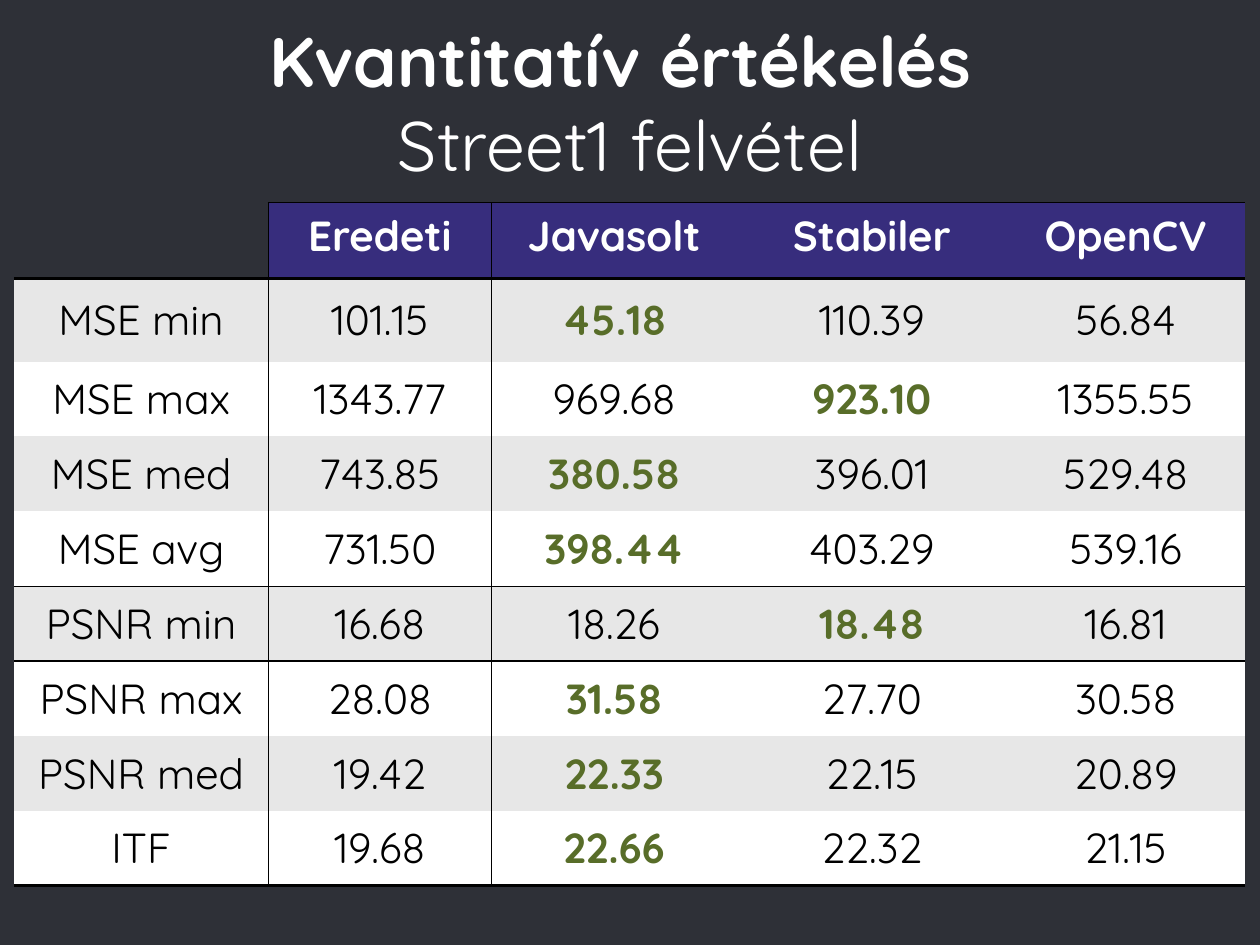
from lxml import etree
from pptx import Presentation
from pptx.dml.color import RGBColor
from pptx.enum.text import MSO_ANCHOR, MSO_AUTO_SIZE, PP_ALIGN
from pptx.oxml.ns import qn
from pptx.util import Inches, Pt

CENTER = PP_ALIGN.CENTER
TOP, MIDDLE, BOTTOM = MSO_ANCHOR.TOP, MSO_ANCHOR.MIDDLE, MSO_ANCHOR.BOTTOM
NO_AUTOFIT = MSO_AUTO_SIZE.NONE

BACKGROUND = RGBColor(0x2E, 0x30, 0x37)
HEADER_FILL = RGBColor(0x37, 0x2D, 0x7D)
BAND_FILL = RGBColor(0xE7, 0xE7, 0xE7)
WHITE = RGBColor(0xFF, 0xFF, 0xFF)
BLACK = RGBColor(0, 0, 0)
BEST = RGBColor(0x58, 0x6D, 0x29)

FONT = "Quicksand"
NO_GRID_STYLE = "{2D5ABB26-0587-4C30-8999-92F81FD0307C}"

METHODS = ["", "Eredeti", "Javasolt", "Stabiler", "OpenCV"]
SCORES = [
    ["MSE min", "101.15", "45.18", "110.39", "56.84"],
    ["MSE max", "1343.77", "969.68", "923.10", "1355.55"],
    ["MSE med", "743.85", "380.58", "396.01", "529.48"],
    ["MSE avg", "731.50", "398.44", "403.29", "539.16"],
    ["PSNR min", "16.68", "18.26", "18.48", "16.81"],
    ["PSNR max", "28.08", "31.58", "27.70", "30.58"],
    ["PSNR med", "19.42", "22.33", "22.15", "20.89"],
    ["ITF", "19.68", "22.66", "22.32", "21.15"],
]
COLUMN_WIDTHS = [2.02, 1.77, 1.95, 2.14, 1.89]
TABLE_HEIGHT, HEADER_HEIGHT, FIRST_ROW_HEIGHT = 5.42, 0.6, 0.66

# Line widths in points, keyed by the row or column that the line follows
THIN = 0.75
ROW_LINES = {0: 2, 4: THIN, 5: THIN, 8: 2}
COLUMN_LINES = {0: 1, 1: THIN}


def format_font(font, **values):
    """Apply the shared typeface and the given format values."""
    font.name = FONT
    font.color.rgb = values.pop("color")
    for attribute, value in values.items():
        setattr(font, attribute, value)


def add_title(slide):
    title = slide.shapes.title
    place = {"left": 0, "top": Inches(0.49),
             "width": Inches(10), "height": Inches(1.08)}
    for attribute, value in place.items():
        setattr(title, attribute, value)

    frame = title.text_frame
    margins = {f"margin_{side}": Inches(0.1)
               for side in ("left", "top", "right", "bottom")}
    settings = {"word_wrap": True, "auto_size": NO_AUTOFIT,
                "vertical_anchor": BOTTOM, **margins}
    for attribute, value in settings.items():
        setattr(frame, attribute, value)

    paragraph = frame.paragraphs[0]
    paragraph.alignment = CENTER
    heading = paragraph.add_run()
    heading.text = "Kvantitatív értékelés "
    paragraph.add_line_break()
    recording = paragraph.add_run()
    recording.text = "Street1 felvétel"
    for run, bold in ((heading, True), (recording, False)):
        format_font(run.font, size=Pt(40), bold=bold, color=WHITE)


def best_score(scores):
    """Errors (MSE) are best when low, the other measures when high."""
    choose = min if scores[0].startswith("MSE") else max
    return choose(scores[1:], key=float)


def add_borders(cell, row, column):
    """Draw each ruled line once, on the cell before it."""
    widths = {"R": COLUMN_LINES.get(column),
              "T": THIN if row == 0 and column > 0 else None,
              "B": ROW_LINES.get(row)}
    properties = cell._tc.get_or_add_tcPr()
    for side, width in widths.items():
        if width:
            line = etree.SubElement(properties, qn(f"a:ln{side}"), w=str(Pt(width)))
            fill = etree.SubElement(line, qn("a:solidFill"))
            etree.SubElement(fill, qn("a:srgbClr"), val=str(BLACK))


def fill_cell(cell, text, fill, color, bold, anchor):
    cell.fill.solid()
    cell.fill.fore_color.rgb = fill
    cell.vertical_anchor = anchor
    paragraph = cell.text_frame.paragraphs[0]
    paragraph.alignment = CENTER
    if text:
        run = paragraph.add_run()
        run.text = text
        format_font(run.font, size=Pt(24), bold=bold, color=color)


def add_score_table(slide):
    frame = slide.shapes.add_table(
        len(SCORES) + 1, len(METHODS), Inches(0.11), Inches(1.61),
        Inches(sum(COLUMN_WIDTHS)), Inches(TABLE_HEIGHT))
    table = frame.table
    table._tbl.tblPr.find(qn("a:tableStyleId")).text = NO_GRID_STYLE

    # Column and row sizes
    for column, width in zip(table.columns, COLUMN_WIDTHS):
        column.width = Inches(width)
    other_rows = len(SCORES) - 1
    other_height = (TABLE_HEIGHT - HEADER_HEIGHT - FIRST_ROW_HEIGHT) / other_rows
    heights = [HEADER_HEIGHT, FIRST_ROW_HEIGHT] + [other_height] * other_rows
    for row, height in zip(table.rows, heights):
        row.height = Inches(height)

    # Header
    for column, method in enumerate(METHODS):
        cell = table.cell(0, column)
        add_borders(cell, 0, column)
        fill = HEADER_FILL if method else BACKGROUND
        fill_cell(cell, method, fill, WHITE, True, TOP)

    # Banded score rows, the best value highlighted
    for row, scores in enumerate(SCORES, start=1):
        best = best_score(scores)
        fill = BAND_FILL if row % 2 else WHITE
        for column, text in enumerate(scores):
            cell = table.cell(row, column)
            add_borders(cell, row, column)
            is_best = text == best
            fill_cell(cell, text, fill, BEST if is_best else BLACK, is_best, MIDDLE)


def main():
    presentation = Presentation()
    presentation.slide_width = Inches(10)
    presentation.slide_height = Inches(7.5)
    slide = presentation.slides.add_slide(presentation.slide_layouts[5])
    slide.background.fill.solid()
    slide.background.fill.fore_color.rgb = BACKGROUND
    add_score_table(slide)
    add_title(slide)
    presentation.save("out.pptx")


if __name__ == "__main__":
    main()
